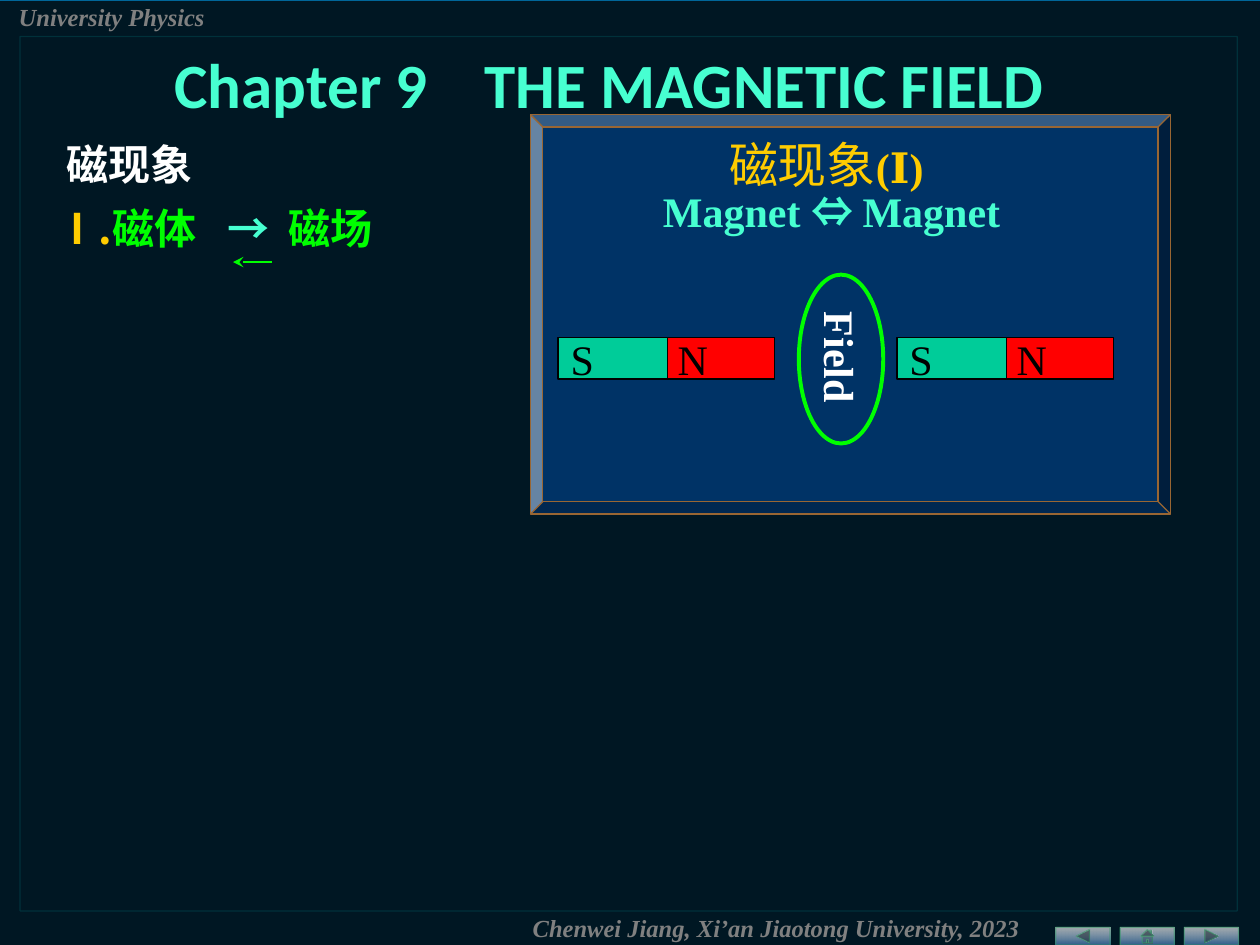
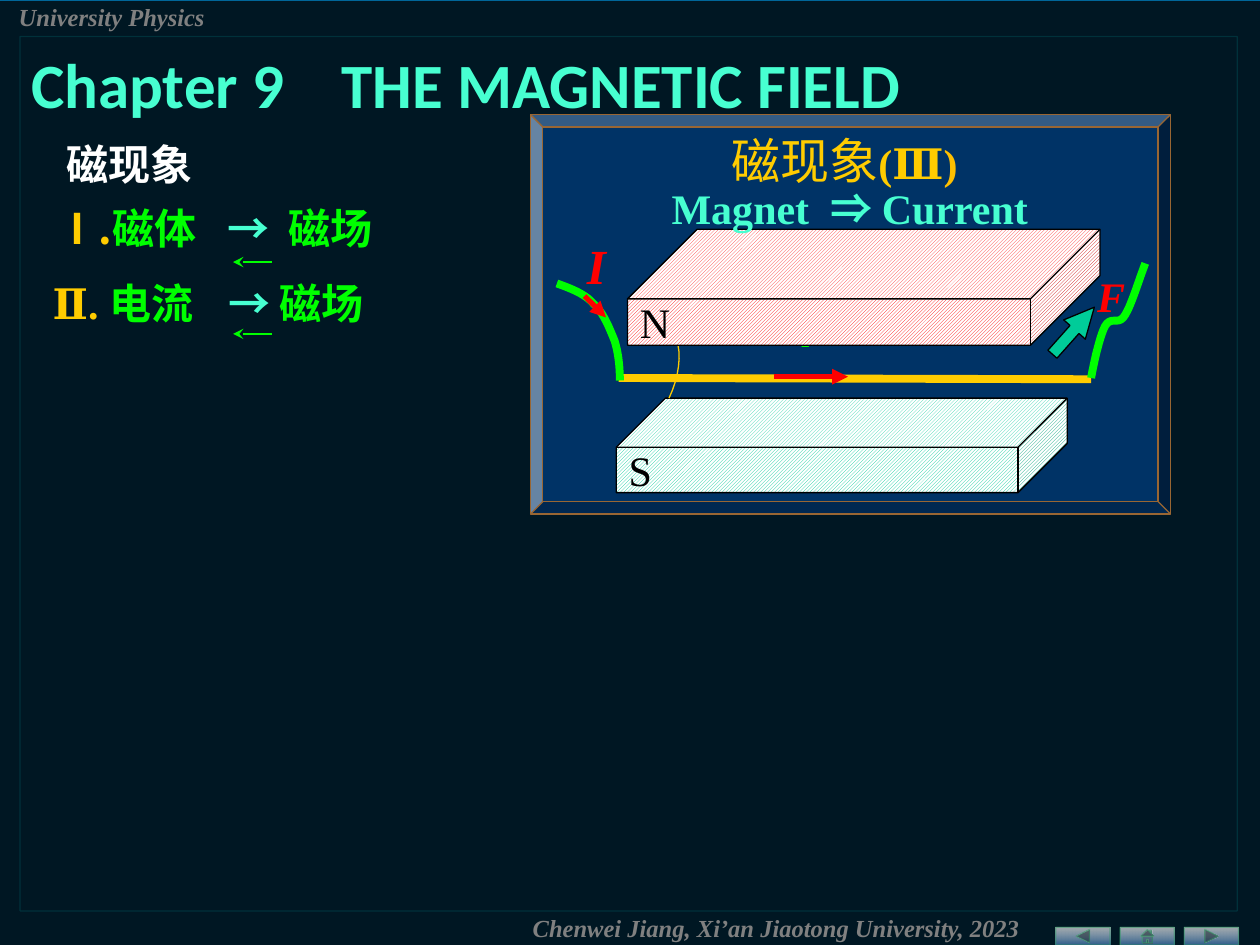
from dataclasses import dataclass

import pptx
import pptx.dml.color
import pptx.enum.dml
import pptx.enum.shapes
import pptx.enum.text
import pptx.oxml
import pptx.oxml.ns
import pptx.util

SHAPE = pptx.enum.shapes.MSO_SHAPE
ALIGN = pptx.enum.text.PP_ALIGN
ANCHOR = pptx.enum.text.MSO_ANCHOR
qn = pptx.oxml.ns.qn
Inches, Pt = pptx.util.Inches, pptx.util.Pt


class Theme:
    serif, sans, cjk, arial = "Times New Roman", "Calibri", "Noto Sans CJK SC", "Arial"
    sea, black, white, grey = "006699", "000000", "FFFFFF", "808080"
    navy, bronze, teal, frame = "003366", "996633", "00CC99", "009999"
    steel, leaf = "336699", "339966"
    gold, amber, aqua, green, red = "FFCC00", "FFC000", "47FFD1", "00FF00", "FF0000"
    title, heading, body, small = 36, 28, 24, 14
    thin, medium, bold, heavy = 0.75, 2.25, 3, 4.5
    tight = 0.85


T = Theme


@dataclass
class Word:
    """A run of text; gap is the width in points added to a space after it."""
    text: str
    color: str
    font: str = T.serif
    size: float = T.body
    bold: bool = True
    italic: bool = False
    gap: float = 0


# ---- Content -------------------------------------------------------------
TITLE = [Word("Chapter 9", T.aqua, T.sans, T.title, gap=24.4),
         Word("THE MAGNETIC FIELD", T.aqua, T.sans, T.title)]
HEADER = [Word("University Physics", T.grey, size=T.small, italic=True)]
FOOTER = [Word("Chenwei Jiang, Xi’an Jiaotong University, 2023", T.grey,
               size=T.small, italic=True)]
TOPIC = [Word("磁现象", T.white, T.cjk)]
TOPIC_I = [Word("Ⅰ.", T.gold, T.cjk), Word("磁体", T.green, gap=12),
           Word("→", T.aqua, T.cjk, gap=5.4), Word("磁场", T.green)]
TOPIC_II = [Word("Ⅱ. ", T.gold), Word("电流", T.green, T.arial, gap=13.3),
            Word("→ ", T.aqua, T.cjk), Word("磁场", T.green)]
PHENOMENON = Word("磁现象", T.gold, T.cjk, T.heading, bold=False)
MAGNET_MAGNET = [
    [PHENOMENON, Word("(Ⅰ) ", T.gold)],
    [Word("Magnet ", T.aqua), Word("⇔ ", T.aqua, T.cjk), Word("Magnet", T.aqua)]]
MAGNET_CURRENT = [
    [PHENOMENON, Word("(Ⅲ", T.gold), Word(") ", T.amber)],
    [Word("Magnet", T.aqua, gap=6), Word("⇒ ", T.aqua, T.cjk), Word("Current", T.aqua)]]

BUTTONS = [SHAPE.ACTION_BUTTON_BACK_OR_PREVIOUS, SHAPE.ACTION_BUTTON_HOME,
           SHAPE.ACTION_BUTTON_FORWARD_OR_NEXT]
BUTTON_LEFT, BUTTON_PITCH = 8.38, 0.51
MAGNET_LEFTS, POLE_PITCH = (4.43, 7.12), 0.85
POLES = [("N", T.red, 1), ("S", T.teal, 0)]

# Bezier curves: a start point, then two control points and an end per piece
LEFT_LEAD = [(4.92, 3.02), (4.92, 2.92), (4.91, 2.81), (4.88, 2.71),
             (4.84, 2.61), (4.79, 2.48), (4.71, 2.41),
             (4.64, 2.33), (4.53, 2.29), (4.42, 2.25)]
RIGHT_LEAD = [(8.66, 3), (8.69, 2.84), (8.73, 2.67), (8.77, 2.59),
              (8.82, 2.5), (8.88, 2.59), (8.93, 2.5),
              (8.98, 2.42), (9.03, 2.25), (9.09, 2.09)]
FIELD_ARC = [(5.32, 2.6), (5.42, 2.72), (5.41, 2.95), (5.31, 3.16)]


# ---- Drawing -------------------------------------------------------------
def rgb(color):
    return pptx.dml.color.RGBColor.from_string(color)


def element(tag, attributes=""):
    """An empty DrawingML element."""
    return pptx.oxml.parse_xml(f"<a:{tag} {pptx.oxml.ns.nsdecls('a')} {attributes}/>")


def set_alpha(parent, *shares):
    """Give the colours under parent their opacities, in percent."""
    for clr, share in zip(list(parent.iter(qn("a:srgbClr"))), shares):
        clr.append(element("alpha", f'val="{share * 1000}"'))


def style_line(line, color, width):
    line.color.rgb = rgb(color)
    line.width = Pt(width)


def shape(s, kind, box, fill=None, line=None, width=T.thin, adj=(), hatch=False):
    sp = s.shapes.add_shape(kind, *map(Inches, box))
    sp.shadow.inherit = False
    if hatch:
        sp.fill.patterned()
        sp.fill.pattern = pptx.enum.dml.MSO_PATTERN.LIGHT_UPWARD_DIAGONAL
        sp.fill.fore_color.rgb, sp.fill.back_color.rgb = rgb(fill), rgb(T.white)
    elif fill:
        sp.fill.solid()
        sp.fill.fore_color.rgb = rgb(fill)
    else:
        sp.fill.background()
    if line:
        style_line(sp.line, line, width)
    else:
        sp.line.fill.background()
    for i, value in enumerate(adj):
        sp.adjustments[i] = value
    return sp


def add_run(p, word, text, spacing=0):
    r = p.add_run()
    r.text = text
    f = r.font
    f.name, f.size, f.bold, f.italic = word.font, Pt(word.size), word.bold, word.italic
    f.color.rgb = rgb(word.color)
    han = any("一" <= ch <= "鿿" for ch in text)
    rPr = r._r.get_or_add_rPr()
    face = T.cjk if han else word.font
    rPr.find(qn("a:latin")).addnext(element("ea", f'typeface="{face}"'))
    if spacing:
        rPr.set("spc", str(round(spacing * 100)))


def write(tf, lines, align=ALIGN.LEFT, spacing=()):
    for i, words in enumerate(lines):
        p = tf.paragraphs[0] if i == 0 else tf.add_paragraph()
        p.alignment = align
        if i < len(spacing):
            p.line_spacing = spacing[i]
        for word in words:
            add_run(p, word, word.text)
            if word.gap:
                add_run(p, word, " ", word.gap)


def text(s, box, *lines, wrap=True, anchor=ANCHOR.TOP, **layout):
    tf = s.shapes.add_textbox(*map(Inches, box)).text_frame
    tf.word_wrap = wrap
    tf.auto_size = pptx.enum.text.MSO_AUTO_SIZE.SHAPE_TO_FIT_TEXT
    tf.vertical_anchor = anchor
    write(tf, lines, **layout)


def label(sp, word):
    tf = sp.text_frame
    tf.word_wrap = False
    tf.vertical_anchor = ANCHOR.MIDDLE
    write(tf, [[word]])
    return tf


def line(s, start, end, color, width, head=None):
    cx = s.shapes.add_connector(pptx.enum.shapes.MSO_CONNECTOR.STRAIGHT,
                                *map(Inches, start + end))
    style_line(cx.line, color, width)
    spPr = cx._element.spPr
    if head:
        spPr.find(qn("a:ln")).append(element("tailEnd", f'type="{head}"'))
    spPr.append(element("effectLst"))


def curve(s, knots, color, width, steps=10):
    points = [knots[0]]
    for i in range(0, len(knots) - 1, 3):
        pieces = list(zip(*knots[i:i + 4]))
        for k in range(1, steps + 1):
            t = k / steps
            u = 1 - t
            points.append(tuple(u**3 * a + 3 * u * u * t * b + 3 * u * t * t * c + t**3 * d
                                for a, b, c, d in pieces))
    emu = [(Inches(x), Inches(y)) for x, y in points]
    fb = s.shapes.build_freeform(*emu[0])
    fb.add_line_segments(emu[1:], close=False)
    sp = fb.convert_to_shape()
    sp.shadow.inherit = False
    sp.fill.background()
    style_line(sp.line, color, width)


# ---- Shared parts --------------------------------------------------------
def new_slide(prs):
    s = prs.slides.add_slide(prs.slide_layouts[6])
    s.background.fill.solid()
    s.background.fill.fore_color.rgb = rgb(T.sea)
    veil = shape(s, SHAPE.RECTANGLE, (0, 0.01, 10, 7.49), T.black)
    set_alpha(veil._element.spPr, 77)
    for i, kind in enumerate(BUTTONS):
        button = shape(s, kind, (BUTTON_LEFT + i * BUTTON_PITCH, 7.36, 0.43, 0.14),
                       line=T.leaf, width=0)
        button.fill.gradient()
        button.fill.gradient_angle = 270
        for stop, color in zip(button.fill.gradient_stops, (T.white, T.steel)):
            stop.color.rgb = rgb(color)
        set_alpha(button._element.spPr, 62, 89, 52)
    frame = shape(s, SHAPE.RECTANGLE, (0.16, 0.29, 9.66, 6.94), line=T.frame)
    set_alpha(frame._element.spPr, 20)
    text(s, (4.13, 7.2, 5.43, 0.33), FOOTER)
    text(s, (0.05, -0.03, 2.6, 0.33), HEADER)
    shape(s, SHAPE.BEVEL, (4.21, 0.91, 5.08, 3.17), T.navy, T.bronze, adj=[0.031])
    return s


def add_outline(s, back_arrow_rows, title_align):
    text(s, (0.35, 1.62, 4.17, 0.44), TOPIC_I, spacing=[T.tight])
    text(s, (0.43, 1.05, 1.97, 0.5), TOPIC)
    for y in back_arrow_rows:
        line(s, (2.16, y), (1.85, y), T.green, 1.5, "stealth")
    text(s, (0.15, 0.31, 9.37, 0.7), TITLE, anchor=ANCHOR.MIDDLE, align=title_align)


def pole_name(name):
    return Word(name, T.black, bold=False)


# ---- Slides --------------------------------------------------------------
def magnet_and_magnet(prs):
    s = new_slide(prs)
    for left in MAGNET_LEFTS:
        for name, color, col in POLES:
            pole = shape(s, SHAPE.RECTANGLE, (left + col * POLE_PITCH, 2.68, 0.87, 0.33),
                         color, T.black)
            label(pole, pole_name(name))
    field = shape(s, SHAPE.OVAL, (6.34, 2.18, 0.67, 1.34), line=T.green, width=T.medium)
    tf = label(field, Word("Field", T.white))
    tf._txBody.bodyPr.set("vert", "eaVert")
    text(s, (4.08, 1.09, 5.04, 0.84), *MAGNET_MAGNET, align=ALIGN.CENTER,
         spacing=[T.tight, T.tight])
    add_outline(s, [2.08], ALIGN.CENTER)


def magnet_and_current(prs):
    s = new_slide(prs)
    line(s, (4.91, 3), (8.66, 3.01), T.gold, T.heavy)
    for lead in (LEFT_LEAD, RIGHT_LEAD):
        curve(s, lead, T.green, T.heavy)
    text(s, (6.23, 2.32, 0.4, 0.57),
         [Word("I", T.green, T.cjk, T.heading, italic=True)], wrap=False)
    line(s, (6.14, 2.99), (6.73, 2.99), T.red, T.bold, "triangle")
    south = shape(s, SHAPE.CUBE, (4.89, 3.16, 3.58, 0.75), T.teal, T.black,
                  adj=[0.521], hatch=True)
    label(south, pole_name("S"))
    text(s, (4.56, 1.82, 0.25, 0.57), [Word("I", T.red, size=T.heading, italic=True)])
    curve(s, FIELD_ARC, T.gold, T.thin)
    force = shape(s, SHAPE.RIGHT_ARROW, (8.27, 2.51, 0.5, 0.23), T.teal, T.black,
                  adj=[0.417, 1.03])
    force.rotation = 311.7
    line(s, (4.64, 2.35), (4.81, 2.52), T.red, T.bold, "triangle")
    text(s, (8.61, 2.1, 0.33, 0.5), [Word("F", T.red, italic=True)])
    north = shape(s, SHAPE.CUBE, (4.98, 1.82, 3.75, 0.92), T.red, T.black,
                  adj=[0.6], hatch=True)
    label(north, pole_name("N"))
    text(s, (4.41, 0.99, 4.67, 0.91), *MAGNET_CURRENT, align=ALIGN.CENTER,
         spacing=[1.0, T.tight])
    text(s, (0.32, 2.15, 4.21, 0.5), TOPIC_II)
    add_outline(s, [2.08, 2.65], ALIGN.LEFT)


def main():
    prs = pptx.Presentation()
    prs.slide_width, prs.slide_height = Inches(10), Inches(7.5)
    magnet_and_magnet(prs)
    magnet_and_current(prs)
    prs.save("out.pptx")


if __name__ == "__main__":
    main()
